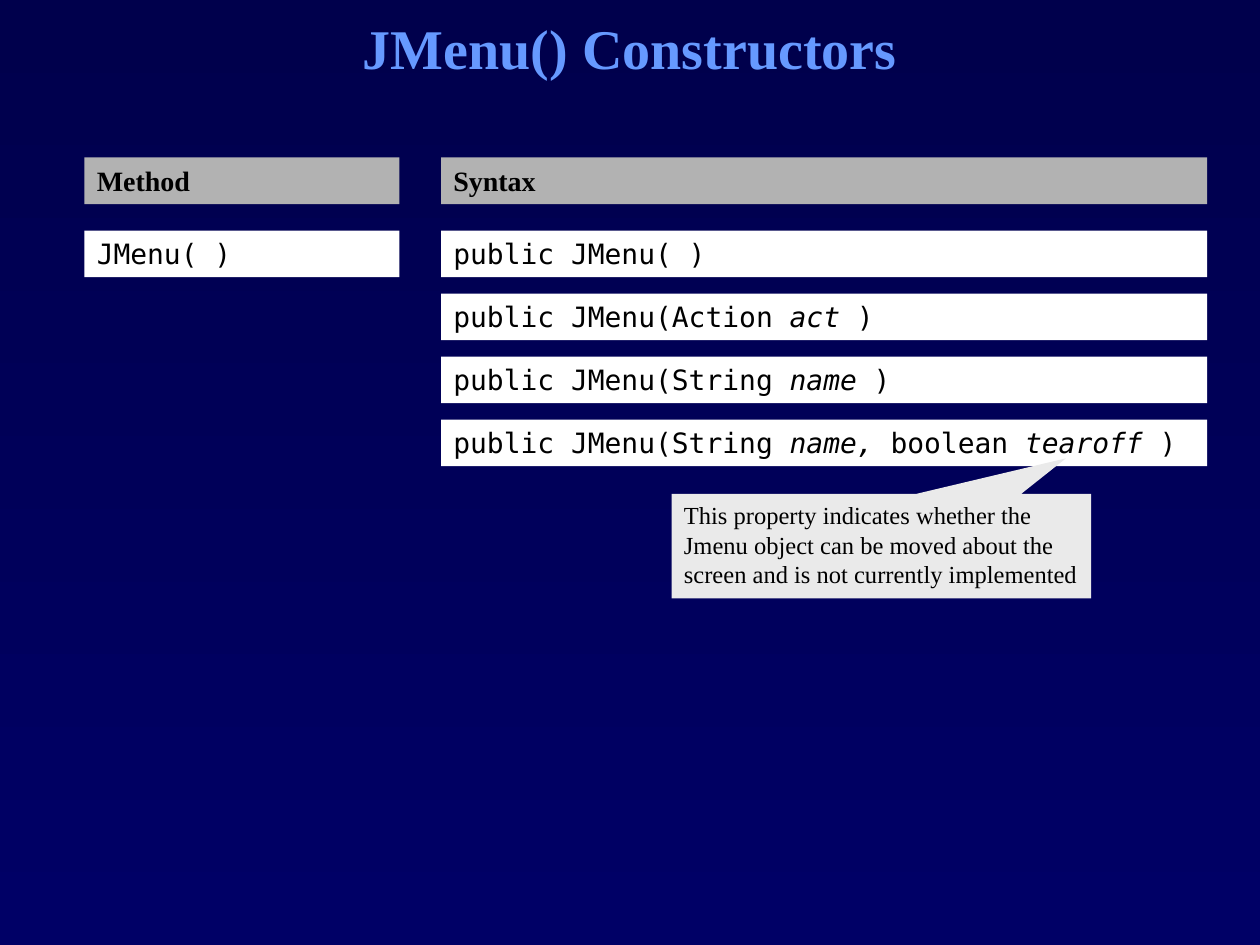
from pptx import Presentation
from pptx.dml.color import RGBColor
from pptx.enum.shapes import MSO_SHAPE
from pptx.enum.text import MSO_ANCHOR, PP_ALIGN
from pptx.util import Inches, Pt

RECT = MSO_SHAPE.RECTANGLE
CALLOUT = MSO_SHAPE.RECTANGULAR_CALLOUT
TOP, MIDDLE = MSO_ANCHOR.TOP, MSO_ANCHOR.MIDDLE
LEFT, CENTER = PP_ALIGN.LEFT, PP_ALIGN.CENTER

SERIF, MONO = "Times New Roman", "DejaVu Sans Mono"
COLORS = {
    "night": "00004C", "navy": "000066", "title": "6699FF", "head": "B2B2B2",
    "cell": "FFFFFF", "note": "EAEAEA", "text": "000000",
}

# Every second run of a line, from the second on, is italic.
METHODS = [["JMenu( )"]]
SYNTAX = [
    ["public JMenu( )"],
    ["public JMenu(Action ", "act", " )"],
    ["public JMenu(String ", "name", " )"],
    ["public JMenu(String ", "name, ", "boolean ", "tearoff", " )"],
]
NOTE = ("This property indicates whether the Jmenu object can be moved about "
        "the screen and is not currently implemented")


def color(name):
    return RGBColor.from_string(COLORS[name])


def write(shape, runs, size, face=SERIF, ink="text", bold=False,
          align=LEFT, anchor=TOP):
    frame = shape.text_frame
    frame.word_wrap = True
    frame.vertical_anchor = anchor
    para = frame.paragraphs[0]
    para.alignment = align
    font = para.font
    font.name, font.size, font.bold = face, Pt(size), bold
    font.color.rgb = color(ink)
    for i, text in enumerate(runs):
        run = para.add_run()
        run.text = text
        if i % 2:
            run.font.italic = True


def add_box(slide, kind, box, fill):
    shape = slide.shapes.add_shape(kind, *map(Inches, box))
    shape.shadow.inherit = False
    shape.fill.solid()
    shape.fill.fore_color.rgb = color(fill)
    shape.line.fill.background()
    return shape


def paint_back(slide):
    fill = slide.background.fill
    fill.gradient()
    fill.gradient_angle = 270
    for stop, name in zip(fill.gradient_stops, ("night", "navy")):
        stop.color.rgb = color(name)


def add_title(slide, box, text):
    shape = slide.shapes.add_textbox(*map(Inches, box))
    write(shape, [text], 32, ink="title", bold=True, align=CENTER,
          anchor=MIDDLE)


def add_column(slide, left, top, width, head, lines):
    """Place a heading bar with a stack of code bars below it."""
    high, first, step = 0.37, 0.58, 0.5
    bar = add_box(slide, RECT, (left, top, width, high), "head")
    write(bar, [head], 16, bold=True)
    for i, runs in enumerate(lines):
        y = top + first + i * step
        bar = add_box(slide, RECT, (left, y, width, high), "cell")
        write(bar, runs, 16, MONO)


def add_note(slide, box, text):
    shape = add_box(slide, CALLOUT, box, "note")
    shape.adjustments[0] = 0.44
    shape.adjustments[1] = -0.84
    write(shape, [text], 14)


def main():
    deck = Presentation()
    deck.slide_width, deck.slide_height = Inches(10), Inches(7.5)
    slide = deck.slides.add_slide(deck.slide_layouts[6])
    paint_back(slide)
    add_title(slide, (0.75, 0, 8.5, 0.75), "JMenu() Constructors")
    add_column(slide, 0.67, 1.25, 2.5, "Method", METHODS)
    add_column(slide, 3.5, 1.25, 6.08, "Syntax", SYNTAX)
    add_note(slide, (5.33, 3.92, 3.33, 0.83), NOTE)
    deck.save("out.pptx")


if __name__ == "__main__":
    main()
